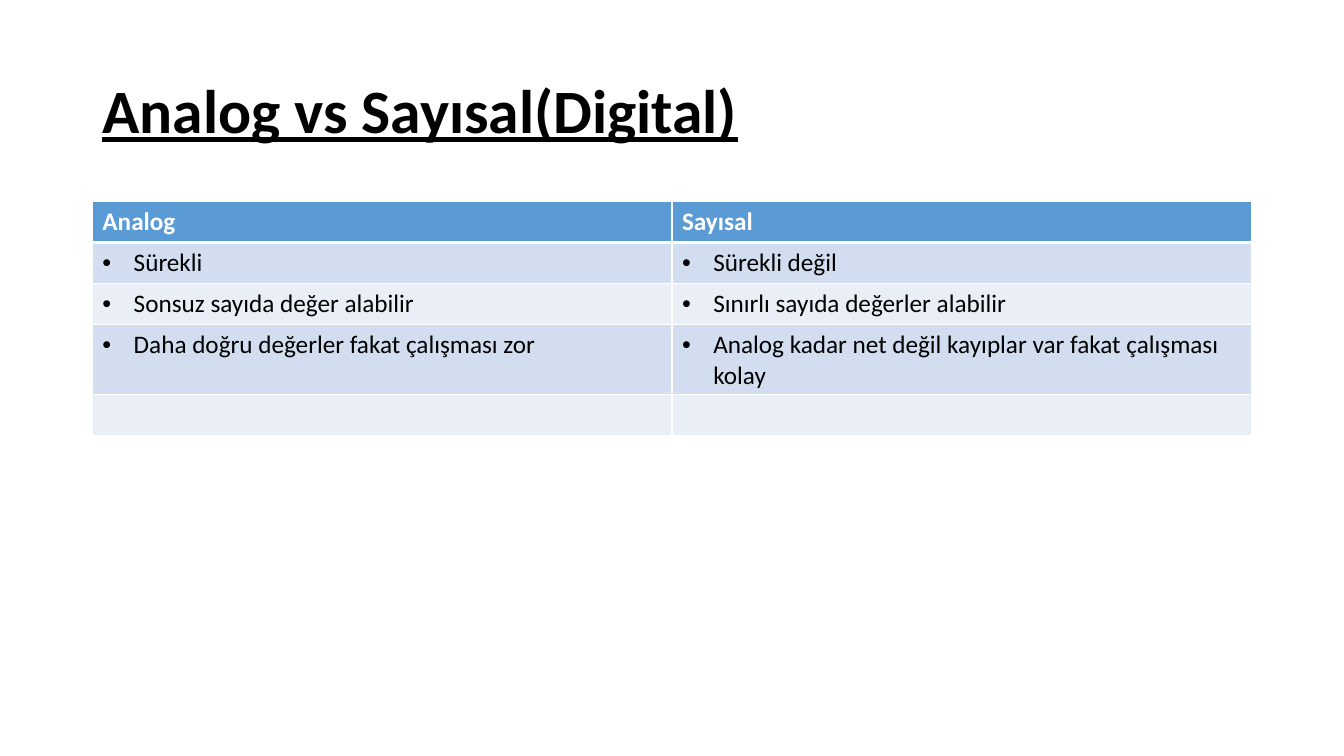
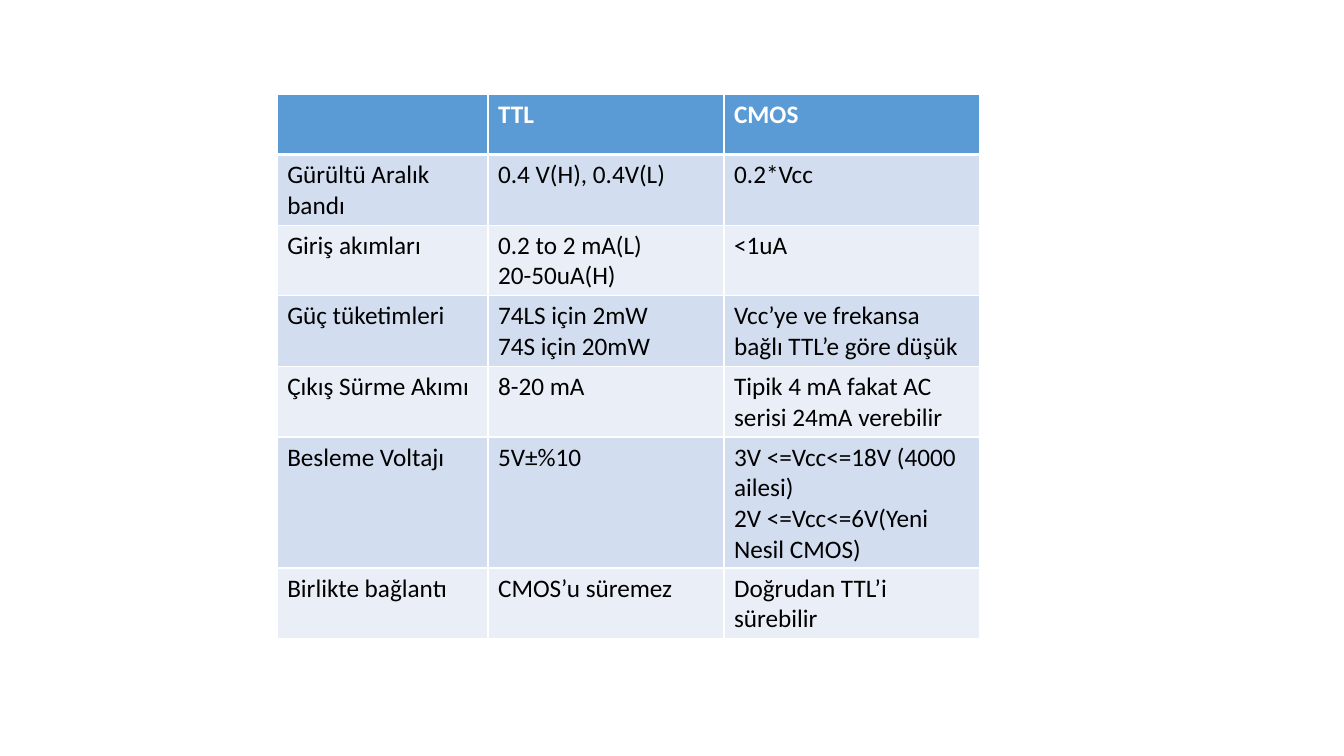
from lxml.etree import SubElement
from pptx import Presentation
from pptx.dml.color import RGBColor
from pptx.enum.text import MSO_ANCHOR
from pptx.oxml.ns import qn
from pptx.util import Inches, Pt

WHITE = RGBColor(0xFF, 0xFF, 0xFF)
BLACK = RGBColor(0x00, 0x00, 0x00)
HEADER_BLUE = RGBColor(0x5B, 0x9B, 0xD5)
BANDS = (RGBColor(0xD2, 0xDE, 0xEF), RGBColor(0xEA, 0xEF, 0xF7))

FONT = "Calibri"
THIN, THICK = Pt(1), Pt(3)
BULLET_INDENT = Inches(0.31)
GRID_COLUMNS, GRID_ROWS = 160, 90

SIGNAL_ROWS = [
    ("Analog", "Sayısal"),
    ("Sürekli", "Sürekli değil"),
    ("Sonsuz sayıda değer alabilir", "Sınırlı sayıda değerler alabilir"),
    ("Daha doğru değerler fakat çalışması zor",
     "Analog kadar net değil kayıplar var fakat çalışması kolay"),
    ("", ""),
]
LOGIC_FAMILY_ROWS = [
    ("", "TTL", "CMOS"),
    ("Gürültü Aralık bandı", "0.4 V(H), 0.4V(L)", "0.2*Vcc"),
    ("Giriş akımları", "0.2 to 2 mA(L)\n20-50uA(H)", "<1uA"),
    ("Güç tüketimleri", "74LS için 2mW\n74S için 20mW",
     "Vcc’ye ve frekansa bağlı TTL’e göre düşük"),
    ("Çıkış Sürme Akımı", "8-20 mA", "Tipik 4 mA fakat AC serisi 24mA verebilir"),
    ("Besleme Voltajı", "5V±%10",
     "3V <=Vcc<=18V (4000 ailesi)\n2V <=Vcc<=6V(Yeni Nesil CMOS)"),
    ("Birlikte bağlantı", "CMOS’u süremez", "Doğrudan TTL’i sürebilir"),
]


class SlideWriter:
    """Holds the shared style and the current slide; lengths are grid units."""

    def __init__(self):
        self.deck = Presentation()
        self.deck.slide_width = Inches(13.33)
        self.deck.slide_height = Inches(7.5)
        self.page = None

    def new_page(self):
        self.page = self.deck.slides.add_slide(self.deck.slide_layouts[6])

    def across(self, columns):
        return round(self.deck.slide_width * columns / GRID_COLUMNS)

    def down(self, rows):
        return round(self.deck.slide_height * rows / GRID_ROWS)

    def style(self, para, size, color, bold=False, underline=False):
        font = para.font
        font.name, font.size = FONT, Pt(size)
        font.bold, font.underline = bold, underline
        font.color.rgb = color

    def title(self, text, left, top, width, height):
        box = self.page.shapes.add_textbox(
            self.across(left), self.down(top), self.across(width), self.down(height))
        frame = box.text_frame
        frame.word_wrap = True
        frame.vertical_anchor = MSO_ANCHOR.MIDDLE
        frame.text = text
        para = frame.paragraphs[0]
        para.line_spacing = 0.9
        self.style(para, 44, BLACK, bold=True, underline=True)

    def table(self, rows, left, top, column_widths, row_height, bulleted=False):
        table = self.page.shapes.add_table(
            len(rows), len(column_widths), self.across(left), self.down(top),
            self.across(sum(column_widths)), self.down(row_height * len(rows))).table
        table.horz_banding = False
        for column, width in zip(table.columns, column_widths):
            column.width = self.across(width)
        for row_index, texts in enumerate(rows):
            table.rows[row_index].height = self.down(row_height)
            for column_index, text in enumerate(texts):
                self.cell(table.cell(row_index, column_index), text, row_index, bulleted)

    def cell(self, cell, text, row_index, bulleted):
        is_header = row_index == 0
        self.borders(cell, top=THICK if row_index == 1 else THIN,
                     bottom=THICK if is_header else THIN)
        cell.fill.solid()
        cell.fill.fore_color.rgb = HEADER_BLUE if is_header else BANDS[(row_index - 1) % 2]
        cell.text = text
        for para in cell.text_frame.paragraphs:
            if bulleted and text and not is_header:
                self.bullet(para)
            self.style(para, 18, WHITE if is_header else BLACK, bold=is_header)

    def borders(self, cell, top, bottom):
        properties = cell._tc.get_or_add_tcPr()
        for side, width in (("L", THIN), ("R", THIN), ("T", top), ("B", bottom)):
            line = SubElement(properties, qn(f"a:ln{side}"), w=str(width))
            fill = SubElement(line, qn("a:solidFill"))
            SubElement(fill, qn("a:srgbClr"), val=str(WHITE))

    def bullet(self, para):
        properties = para._p.get_or_add_pPr()
        properties.set("marL", str(BULLET_INDENT))
        properties.set("indent", str(-BULLET_INDENT))
        SubElement(properties, qn("a:buFont"), typeface="Arial")
        SubElement(properties, qn("a:buChar"), char="•")


def main():
    writer = SlideWriter()

    writer.new_page()
    writer.title("Analog vs Sayısal(Digital)", left=11, top=4.8, width=138, height=17.4)
    writer.table(SIGNAL_ROWS, left=11, top=24, column_widths=(69, 69),
                 row_height=4.87, bulleted=True)

    writer.new_page()
    writer.table(LOGIC_FAMILY_ROWS, left=33, top=11.2,
                 column_widths=(25.1, 28.1, 30.4), row_height=7.2)

    writer.deck.save("out.pptx")


if __name__ == "__main__":
    main()
